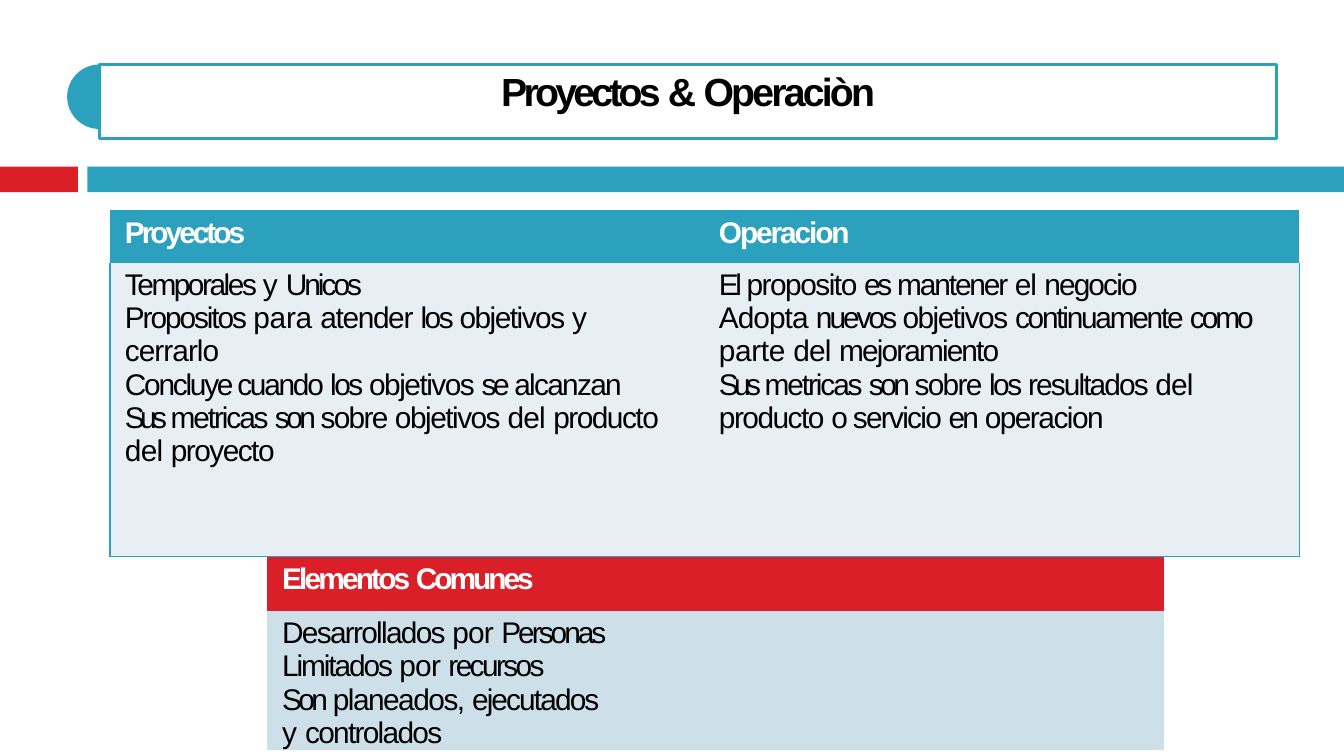
import math

from lxml import etree
from pptx import Presentation
from pptx import util as u
from pptx.dml.color import RGBColor
from pptx.enum import shapes, text
from pptx.oxml.ns import qn

# Content
TITLE = "Proyectos & Operaciòn"
PROJECTS = ["Temporales y Unicos",
            "Propositos para atender los objetivos y\ncerrarlo",
            "Concluye cuando los objetivos se alcanzan",
            "Sus metricas son sobre objetivos del producto\ndel proyecto"]
OPERATION = ["El proposito es mantener el negocio",
             "Adopta nuevos objetivos continuamente como\nparte del mejoramiento",
             "Sus metricas son sobre los resultados del\nproducto o servicio en operacion"]
COMMON = ["Desarrollados por Personas\nLimitados por recursos",
          "Son planeados, ejecutados\ny controlados"]

# Letter spacing in points, word by word
TITLE_TRACKING = {-2: "Proyectos", -1.9: "&", -1.5: "Operaciòn"}
BODY_TRACKING = {
    -2.5: "Sus", -1.9: "se son El Son", -1.8: "es",
    -1.6: "Proyectos Unicos nuevos como Comunes Personas",
    -1.5: "Elementos", -1.4: "en recursos", -1.3: "Temporales los",
    -1.2: "Concluye cuando continuamente",
    -1.1: "Propositos Operacion metricas mantener Limitados",
    -1: "negocio mejoramiento resultados ejecutados",
    -0.9: "alcanzan sobre o servicio Desarrollados controlados",
    -0.8: "objetivos producto proyecto proposito planeados, operacion",
    -0.7: "atender", -0.5: "cerrarlo el Adopta", -0.4: "del por",
    -0.2: "parte", -0.1: "y para"}

WIDTH, HEIGHT = 10, 10 * 9 / 16
TEAL, RED, WHITE, BLACK = "2CA1BE", "DA1F28", "FFFFFF", "000000"
PALE, PALE_BLUE = "E8EFF4", "CDDFE8"
COLUMNS = [1.17, 3.14, 3.53, 0.97, 0.03]
ROWS = [0.4, 2.18, 0.41, 0.9]

# row, column, columns spanned, paragraphs, fill, font colour, bold, indent, bordered sides
CELLS = [
    (0, 0, 1, ["Proyectos"], TEAL, WHITE, True, 0.11, ""),
    (0, 1, 1, [], TEAL, WHITE, True, 0, ""),
    (0, 2, 2, ["Operacion"], TEAL, WHITE, True, 0.22, ""),
    (0, 4, 1, [], TEAL, WHITE, True, 0, ""),
    (1, 0, 2, PROJECTS, PALE, BLACK, False, 0.11, "LB"),
    (1, 2, 3, OPERATION, PALE, BLACK, False, 0.22, "RB"),
    (2, 1, 2, ["Elementos Comunes"], RED, WHITE, True, 0.11, ""),
    (3, 1, 2, COMMON, PALE_BLUE, BLACK, False, 0.11, ""),
]


def color(value):
    return RGBColor.from_string(value)


def write(frame, paragraphs, size=16, ink=BLACK, bold=False, indent=0,
          align=text.PP_ALIGN.LEFT, tracking=BODY_TRACKING):
    points = {word: value for value, words in tracking.items() for word in words.split()}
    frame.word_wrap = True
    for i, content in enumerate(paragraphs):
        p = frame.paragraphs[0] if i == 0 else frame.add_paragraph()
        p.alignment, p.line_spacing, p.space_before = align, 1.0, u.Pt(0)
        p._p.get_or_add_pPr().set("marL", str(u.Inches(indent)))
        p._p.get_or_add_pPr().set("indent", "0")
        for j, line in enumerate(content.split("\n")):
            if j:
                p.add_line_break()
            words = line.split()
            for k, word in enumerate(words):
                run = p.add_run()
                run.text = word + (" " if k < len(words) - 1 else "")
                run.font.name, run.font.size, run.font.bold = "Arial", u.Pt(size), bold
                run.font.color.rgb = color(ink)
                run._r.get_or_add_rPr().set("spc", str(round(points[word] * 100)))


def paint(shape, fill):
    shape.shadow.inherit = False
    shape.fill.solid()
    shape.fill.fore_color.rgb = color(fill)
    shape.line.fill.background()


def border(cell, sides):
    props = cell._tc.get_or_add_tcPr()
    # Borders come before the fill, in the order left, right, bottom
    for place, side in enumerate(s for s in "LRB" if s in sides):
        line = etree.Element(qn("a:ln" + side), w=str(u.Pt(1)))
        fill = etree.SubElement(line, qn("a:solidFill"))
        etree.SubElement(fill, qn("a:srgbClr"), val=TEAL)
        props.insert(place, line)


prs = Presentation()
prs.slide_width, prs.slide_height = u.Inches(WIDTH), u.Inches(HEIGHT)
slide = prs.slides.add_slide(prs.slide_layouts[5])

# Two-colour band
for left, width, fill in [(0, 0.58, RED), (0.65, WIDTH - 0.65, TEAL)]:
    band = slide.shapes.add_shape(shapes.MSO_SHAPE.RECTANGLE, u.Inches(left),
                                  u.Inches(1.24), u.Inches(width), u.Inches(0.19))
    paint(band, fill)

# Half disc beside the title
radius, cx, cy = 0.24, 0.74, 0.72
arc = [(u.Inches(cx - radius * math.sin(math.pi * i / 24)),
        u.Inches(cy - radius * math.cos(math.pi * i / 24))) for i in range(25)]
builder = slide.shapes.build_freeform(*arc[0])
builder.add_line_segments(arc[1:], close=True)
paint(builder.convert_to_shape(), TEAL)

# Title
title = slide.shapes.title
title.left, title.top, title.width, title.height = map(u.Inches, (0.74, 0.48, 8.76, 0.55))
title.fill.background()
title.line.color.rgb, title.line.width = color(TEAL), u.Pt(1.5)
frame = title.text_frame
frame.auto_size = text.MSO_AUTO_SIZE.NONE
frame.vertical_anchor = text.MSO_ANCHOR.TOP
frame.margin_left = frame.margin_right = frame.margin_bottom = 0
frame.margin_top = u.Inches(0.02)
write(frame, [TITLE], size=21, bold=True, align=text.PP_ALIGN.CENTER,
      tracking=TITLE_TRACKING)

# Comparison table
table = slide.shapes.add_table(len(ROWS), len(COLUMNS), u.Inches(0.82), u.Inches(1.56),
                               u.Inches(sum(COLUMNS)), u.Inches(sum(ROWS))).table
table.first_row = table.horz_banding = False
style = table._tbl.tblPr.find(qn("a:tableStyleId"))
style.text = "{2D5ABB26-0587-4C30-8999-92F81FD0307C}"
for column, width in zip(table.columns, COLUMNS):
    column.width = u.Inches(width)
for row, height in zip(table.rows, ROWS):
    row.height = u.Inches(height)
for cell in table.iter_cells():
    cell.fill.background()
    cell.margin_left = cell.margin_right = cell.margin_top = cell.margin_bottom = 0

# Empty corners beside the common elements
table.cell(2, 0).merge(table.cell(3, 0))
table.cell(2, 3).merge(table.cell(3, 4))

for row, column, span, paragraphs, fill, ink, bold, indent, sides in CELLS:
    cell = table.cell(row, column)
    if span > 1:
        cell.merge(table.cell(row, column + span - 1))
    cell.fill.solid()
    cell.fill.fore_color.rgb = color(fill)
    write(cell.text_frame, paragraphs, ink=ink, bold=bold, indent=indent)
    cell.margin_top = u.Inches(0.05 if bold else 0.04)
    border(cell, sides)

prs.save("out.pptx")
